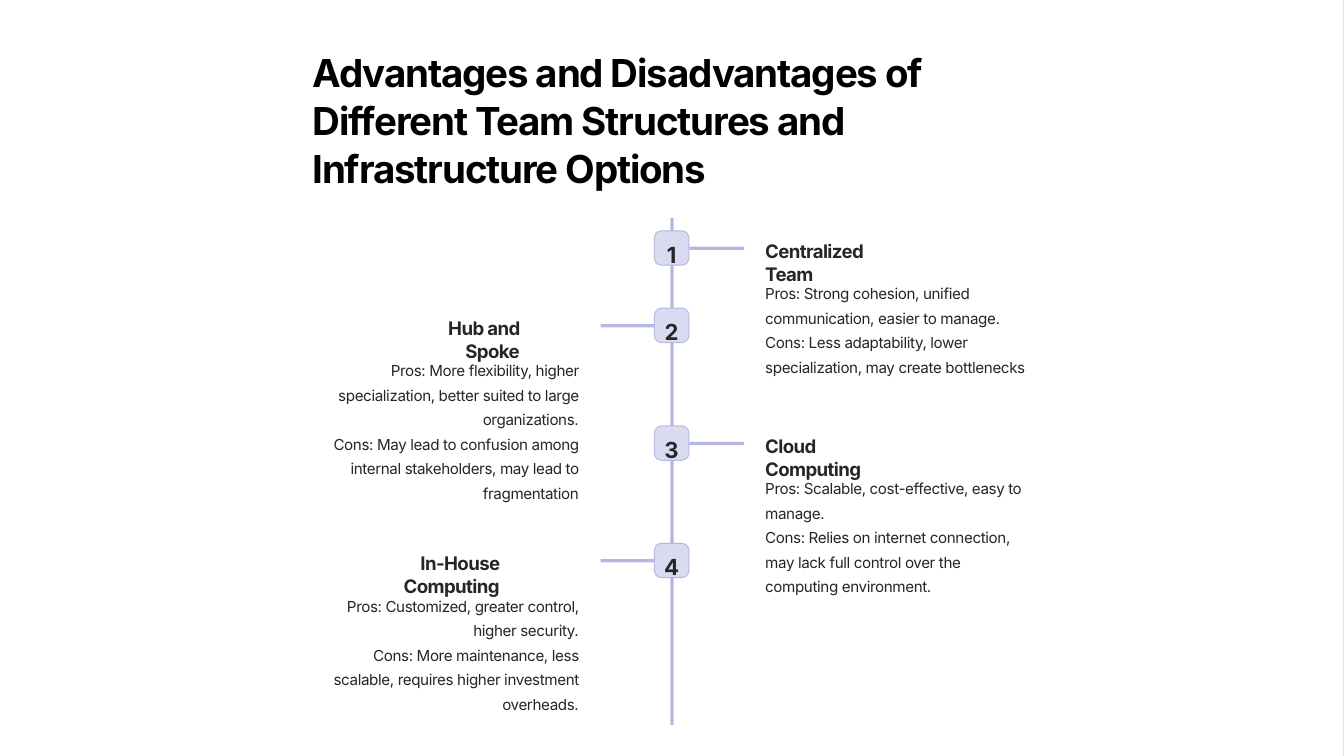
"""Build a slide with a numbered timeline comparing four team and infrastructure options."""
from pptx import Presentation
from pptx.dml.color import RGBColor
from pptx.enum.shapes import MSO_SHAPE
from pptx.enum.text import MSO_ANCHOR, MSO_AUTO_SIZE, PP_ALIGN
from pptx.util import Cm, Pt

RECTANGLE = MSO_SHAPE.RECTANGLE
ROUNDED = MSO_SHAPE.ROUNDED_RECTANGLE
TOP = MSO_ANCHOR.TOP
NO_AUTOFIT = MSO_AUTO_SIZE.NONE
LEFT, CENTER, RIGHT = PP_ALIGN.LEFT, PP_ALIGN.CENTER, PP_ALIGN.RIGHT
LAVENDER, PALE, INK = "B5B7E3", "DADBF1", "272525"
SLIDE_WIDTH, SLIDE_HEIGHT = 40.64, 22.86
INSET = 0.13
MARKER_SIZE = 1.04
STUB_LENGTH = 1.65
BAR = 0.1
BODY_WIDTH = 8.31
HEADING_WIDTH = 3.81


def add_block(kind, left, top, width, height, fill, line=None):
    shape = slide.shapes.add_shape(kind, Cm(left), Cm(top), Cm(width), Cm(height))
    shape.shadow.inherit = False
    shape.fill.solid()
    shape.fill.fore_color.rgb = RGBColor.from_string(fill)
    if line:
        shape.line.color.rgb = RGBColor.from_string(line)
        shape.line.width = Pt(0.83)
    else:
        shape.line.fill.background()
    return shape


def write(shape, text, size, spacing, tracking, align=LEFT, bold=True, color=INK, top_inset=INSET):
    frame = shape.text_frame
    frame.word_wrap = True
    frame.auto_size = NO_AUTOFIT
    frame.vertical_anchor = TOP
    frame.margin_left = frame.margin_right = frame.margin_bottom = Cm(INSET)
    frame.margin_top = Cm(top_inset)
    frame.text = text
    for paragraph in frame.paragraphs:
        paragraph.alignment = align
        paragraph.line_spacing = Pt(spacing)
        for run in paragraph.runs:
            run.font.name = "Inter"
            run.font.size = Pt(size)
            run.font.bold = bold
            run.font.color.rgb = RGBColor.from_string(color)
            run.font._element.set("spc", str(tracking))


presentation = Presentation()
presentation.slide_width = Cm(SLIDE_WIDTH)
presentation.slide_height = Cm(SLIDE_HEIGHT)
slide = presentation.slides.add_slide(presentation.slide_layouts[5])

panel = add_block(RECTANGLE, 0, 0, SLIDE_WIDTH, 23.24, "FFFFFF", "E5E0DF")
slide.shapes._spTree.insert(2, panel._element)

title = slide.shapes.title
title.left, title.top, title.width, title.height = Cm(9.32), Cm(1.3), Cm(22), Cm(4.57)
write(title, "Advantages and Disadvantages of Different Team Structures and Infrastructure Options",
      33, 41, -100, color="000000")

add_block(RECTANGLE, 20.27, 6.6, BAR, 15.32, LAVENDER)

options = [
    (6.98, LEFT, 23.01, "Centralized Team",
     "Pros: Strong cohesion, unified communication, easier to manage.",
     "Cons: Less adaptability, lower specialization, may create bottlenecks", 3.18),
    (9.32, RIGHT, 12.04, "Hub and Spoke",
     "Pros: More flexibility, higher specialization, better suited to large organizations.",
     "Cons: May lead to confusion among internal stakeholders, may lead to fragmentation", 4.65),
    (12.88, LEFT, 23.01, "Cloud Computing",
     "Pros: Scalable, cost-effective, easy to manage.",
     "Cons: Relies on internet connection, may lack full control over the computing environment.", 3.91),
    (16.43, RIGHT, 11.43, "In-House Computing",
     "Pros: Customized, greater control, higher security.",
     "Cons: More maintenance, less scalable, requires higher investment overheads.", 3.18),
]

for number, (top, align, heading_left, heading, pros, cons, body_height) in enumerate(options, 1):
    stub_left, body_left = (20.85, 23.01) if align == LEFT else (18.16, 9.32)
    add_block(RECTANGLE, stub_left, top + 0.48, STUB_LENGTH, BAR, LAVENDER)

    marker = add_block(ROUNDED, 19.79, top, MARKER_SIZE, MARKER_SIZE, PALE, LAVENDER)
    marker.adjustments[0] = 0.2
    write(marker, str(number), 19, 24, -30, CENTER, top_inset=0.21)

    heading_box = slide.shapes.add_textbox(
        Cm(heading_left), Cm(top + 0.1), Cm(HEADING_WIDTH), Cm(0.94))
    write(heading_box, heading, 16, 20, -50, align)

    body_box = slide.shapes.add_textbox(
        Cm(body_left), Cm(top + 1.3), Cm(BODY_WIDTH), Cm(body_height))
    write(body_box, f"{pros}\n{cons}", 13, 21, -30, align, bold=False)

presentation.save("out.pptx")
